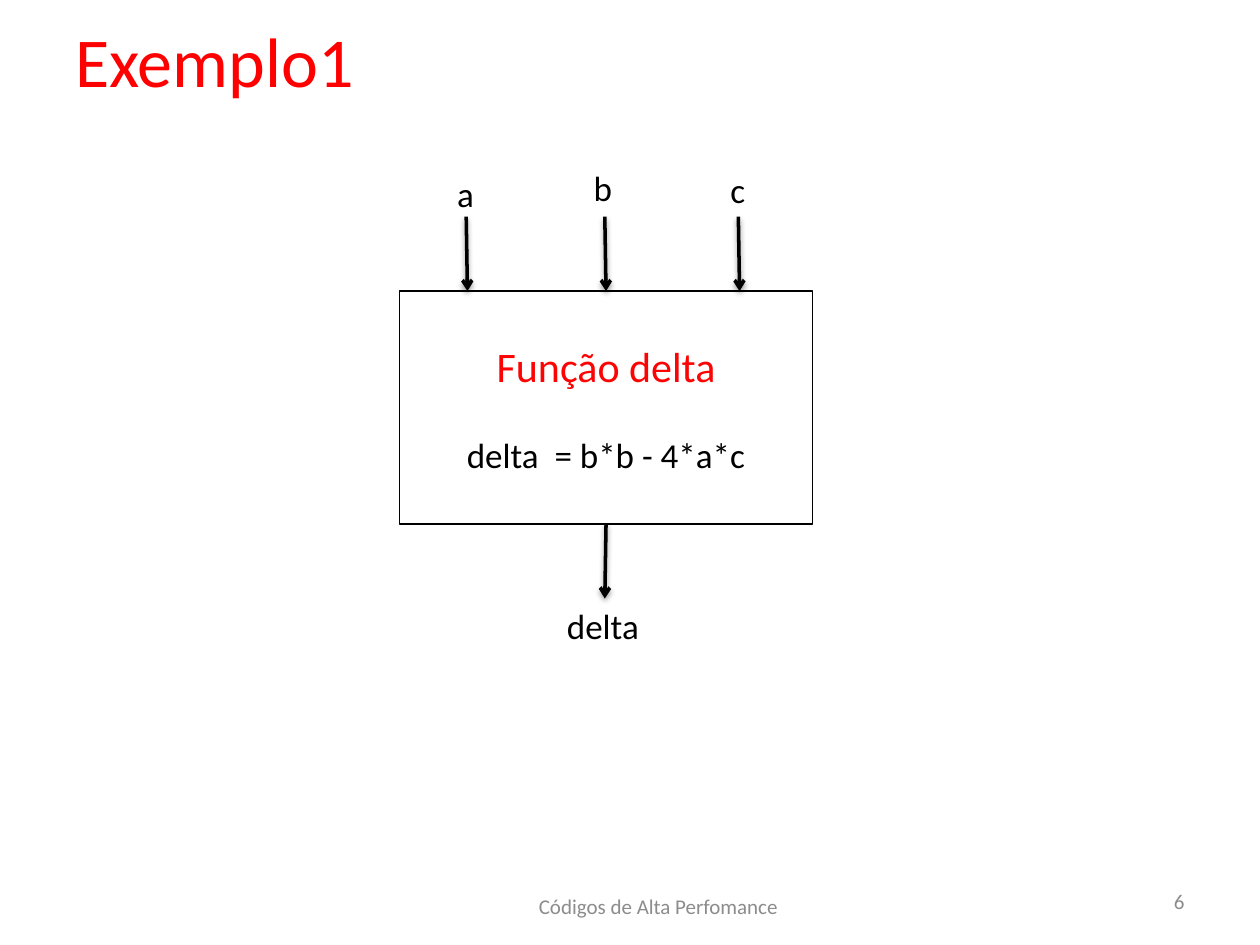
from dataclasses import dataclass
from typing import NamedTuple, Optional

from lxml.etree import SubElement
from pptx import Presentation
from pptx.dml.color import RGBColor
from pptx.enum.shapes import MSO_CONNECTOR, MSO_SHAPE
from pptx.enum.text import MSO_ANCHOR, PP_ALIGN
from pptx.oxml.ns import qn
from pptx.util import Emu, Inches, Pt

COLS, ROWS = 100, 75


@dataclass(frozen=True)
class Theme:
    font: str = "Calibri"
    red: str = "FF0000"
    warm: str = "FC0404"
    black: str = "000000"
    gray: str = "8C8C8C"
    title: int = 40
    head: int = 24
    body: int = 20
    foot: int = 12
    edge: float = 0.75
    arrow: float = 2


class Area(NamedTuple):
    left: float
    top: float
    width: float
    height: float


class Label(NamedTuple):
    text: str
    area: Area
    size: int
    color: str
    align: PP_ALIGN = PP_ALIGN.CENTER
    anchor: MSO_ANCHOR = MSO_ANCHOR.TOP


class Arrow(NamedTuple):
    left: float
    top: float
    start: Optional[int] = None
    end: Optional[int] = None


THEME = Theme()
deck = Presentation()
deck.slide_width, deck.slide_height = Inches(10), Inches(7.5)
slide = deck.slides.add_slide(deck.slide_layouts[6])


def col(n: float) -> Emu:
    return Emu(round(deck.slide_width * n / COLS))


def row(n: float) -> Emu:
    return Emu(round(deck.slide_height * n / ROWS))


def place(area: Area) -> tuple:
    return col(area.left), row(area.top), col(area.width), row(area.height)


def write(para, text: str, size: int, color: str, align: PP_ALIGN) -> None:
    para.alignment = align
    run = para.add_run()
    run.text = text
    run.font.name = THEME.font
    run.font.size = Pt(size)
    run.font.color.rgb = RGBColor.from_string(color)


def draw_label(label: Label) -> None:
    frame = slide.shapes.add_textbox(*place(label.area)).text_frame
    frame.word_wrap = True
    frame.vertical_anchor = label.anchor
    write(frame.paragraphs[0], label.text, label.size, label.color, label.align)


def draw_box(area: Area):
    box = slide.shapes.add_shape(MSO_SHAPE.RECTANGLE, *place(area))
    box.shadow.inherit = False
    box.fill.background()
    box.line.color.rgb = RGBColor.from_string(THEME.black)
    box.line.width = Pt(THEME.edge)
    frame = box.text_frame
    frame.word_wrap = True
    frame.vertical_anchor = MSO_ANCHOR.TOP
    frame.margin_top = row(3.9)
    write(frame.paragraphs[0], "Função delta", THEME.head, THEME.warm, PP_ALIGN.CENTER)
    rule = frame.add_paragraph()
    rule.space_before = Pt(24.4)
    write(rule, "delta  = b*b - 4*a*c", THEME.body, THEME.black, PP_ALIGN.CENTER)
    return box


def draw_arrow(arrow: Arrow, box) -> None:
    line = slide.shapes.add_connector(
        MSO_CONNECTOR.STRAIGHT,
        col(arrow.left), row(arrow.top),
        col(arrow.left + 0.1), row(arrow.top + 5.9),
    )
    if arrow.start is not None:
        line.begin_connect(box, arrow.start)
    if arrow.end is not None:
        line.end_connect(box, arrow.end)
    line.line.color.rgb = RGBColor.from_string(THEME.black)
    line.line.width = Pt(THEME.arrow)
    SubElement(line.line._get_or_add_ln(), qn("a:tailEnd"), type="arrow")
    glow = SubElement(line._element.spPr, qn("a:effectLst"))
    cast = SubElement(glow, qn("a:outerShdw"), blurRad="40000", dist="20000",
                      dir="5400000", rotWithShape="0")
    tint = SubElement(cast, qn("a:srgbClr"), val=THEME.black)
    SubElement(tint, qn("a:alpha"), val="38000")


BOX = Area(31.7, 23.1, 32.8, 18.5)
LABELS = [
    Label("Exemplo1", Area(5, 0, 76.3, 9.4), THEME.title, THEME.red,
          PP_ALIGN.LEFT, MSO_ANCHOR.MIDDLE),
    Label("Códigos de Alta Perfomance", Area(34.2, 68.8, 36.1, 6.2), THEME.foot,
          THEME.gray, anchor=MSO_ANCHOR.MIDDLE),
    Label("6", Area(71.7, 69.5, 23.3, 4), THEME.foot, THEME.gray,
          PP_ALIGN.RIGHT, MSO_ANCHOR.MIDDLE),
    *(Label(name, Area(left, top, 6.5, 4.4), THEME.body, THEME.black)
      for name, left, top in (("a", 33.7, 13.2), ("b", 44.6, 12.7), ("c", 55.3, 12.9))),
    Label("delta", Area(43.3, 47.5, 9.1, 4.4), THEME.body, THEME.black),
]
ARROWS = [
    Arrow(37, 17.2),
    Arrow(48, 17.2, end=0),
    Arrow(58.6, 17.2),
    Arrow(47.9, BOX.top + BOX.height, start=2),
]


def main() -> None:
    box = draw_box(BOX)
    for arrow in ARROWS:
        draw_arrow(arrow, box)
    for label in LABELS:
        draw_label(label)
    deck.save("out.pptx")


if __name__ == "__main__":
    main()
